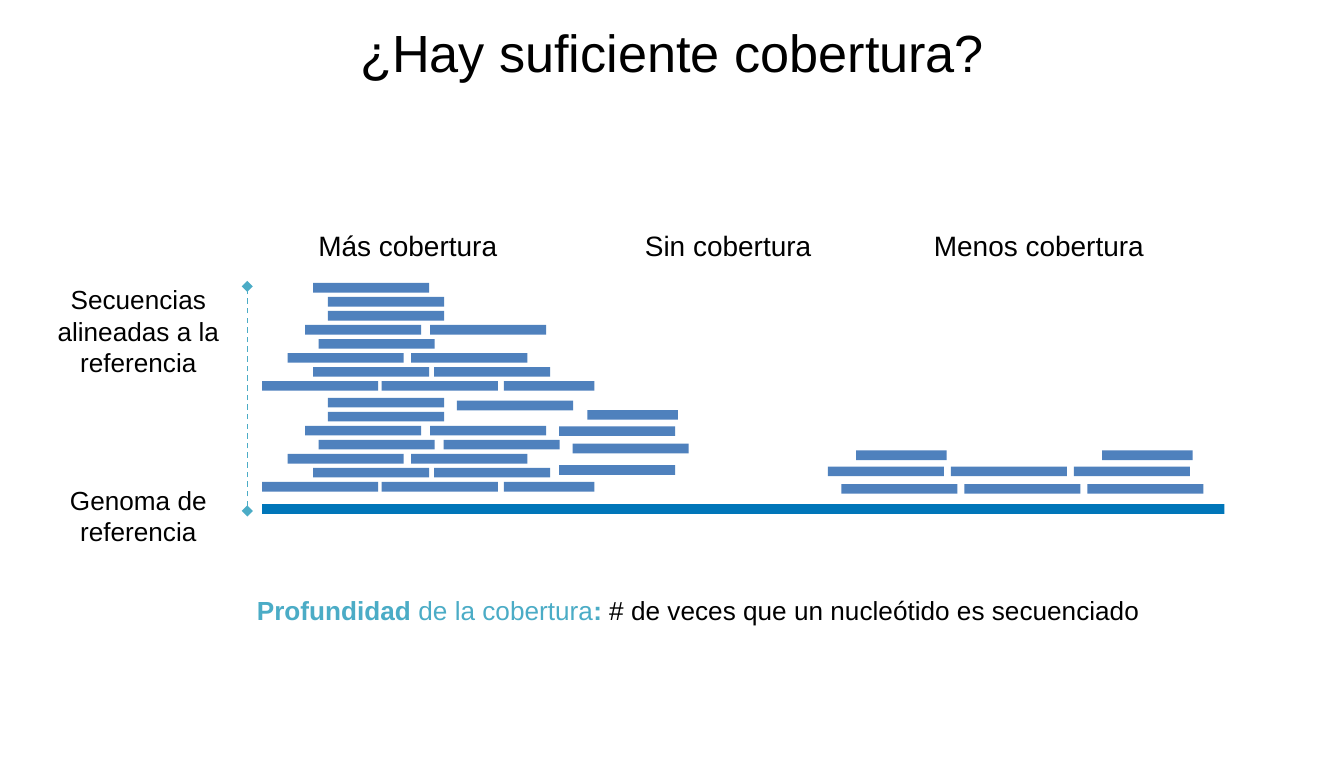
import pptx
import pptx.util
import pptx.dml.color
import pptx.enum.dml
import pptx.enum.shapes
import pptx.enum.text
import pptx.oxml
import pptx.oxml.ns

# Grid of square cells, 100 columns across the slide; all lengths are in cells.
CELL = pptx.util.Inches(0.1)
ALIGN = pptx.enum.text.PP_ALIGN
BLACK, TEAL, READ, GENOME = "000000", "4BACC6", "4F81BD", "0076B9"
THICK, LONG, SHORT = 0.72, 8.64, 6.74

# Left ends of the stacked reads, from the bottom row up.
LOW = [[19.5, 28.4], [23.3, 32.3], [21.4, 30.6]]
TOP = [[22.7, 32], [24.4], [24.4]]
STACKS = [
    (28.34, LOW + [[23.7]] + TOP + [[23.3]]),
    (35.84, LOW + [[23.7, 33]] + TOP),
]
STEP = 7.3 / 7
LOOSE = [(34, 29.8), (41.6, 31.7), (42.6, 33), (41.6, 34.6)]
SPARSE = 9.15

LABELS = [("Más cobertura", 22.7), ("Sin cobertura", 47), ("Menos cobertura", 68.5)]
SIDES = [("Secuencias alineadas a la referencia", 20.1), ("Genoma de referencia", 35)]


def cells(*vals):
    return [round(val * CELL) for val in vals]


def color(code):
    return pptx.dml.color.RGBColor.from_string(code)


def bar(slide, x, y, wide=LONG, fill=READ):
    box = slide.shapes.add_shape(
        pptx.enum.shapes.MSO_SHAPE.RECTANGLE, *cells(x, y, wide, THICK))
    box.shadow.inherit = False
    box.fill.solid()
    box.fill.fore_color.rgb = color(fill)
    box.line.fill.background()


def write(shape, runs, size, align):
    """Fill a shape with one paragraph of (text, colour, bold) runs."""
    frame = shape.text_frame
    frame.word_wrap = True
    frame.auto_size = pptx.enum.text.MSO_AUTO_SIZE.NONE
    frame.vertical_anchor = pptx.enum.text.MSO_ANCHOR.TOP
    for side in ("left", "top", "right", "bottom"):
        setattr(frame, "margin_" + side, CELL)
    para = frame.paragraphs[0]
    para.alignment = align
    para.font.size = pptx.util.Pt(size)
    para.font.name = "Arial"
    for text, code, bold in runs:
        run = para.add_run()
        run.text = text
        run.font.color.rgb = color(code)
        run.font.bold = bold


def label(slide, area, runs, size=14, align=ALIGN.CENTER):
    write(slide.shapes.add_textbox(*cells(*area)), runs, size, align)


def title(slide, text):
    shape = slide.shapes.title
    shape.left, shape.top, shape.width, shape.height = cells(9.9, 0.5, 80.2, 9.4)
    write(shape, [(text, BLACK, False)], 28, ALIGN.CENTER)


def span(slide, x, low, high):
    """Draw the dashed upright line with a diamond at each end."""
    link = slide.shapes.add_connector(
        pptx.enum.shapes.MSO_CONNECTOR.STRAIGHT, *cells(x, low, x, high))
    link.line.color.rgb = color(TEAL)
    link.line.width = pptx.util.Pt(0.75)
    link.line.dash_style = pptx.enum.dml.MSO_LINE.DASH
    line = link.line._get_or_add_ln()
    space = pptx.oxml.ns.nsdecls("a")
    for tag in ("a:headEnd", "a:tailEnd"):
        line.append(pptx.oxml.parse_xml(f"<{tag} {space} type='diamond'/>"))
    link._element.spPr.append(pptx.oxml.parse_xml(f"<a:effectLst {space}/>"))


def dense(slide):
    for base, rows in STACKS:
        for row, starts in enumerate(rows):
            for x in starts:
                bar(slide, x, base - row * STEP)
        bar(slide, 37.5, base, SHORT)
    for x, y in LOOSE:
        bar(slide, x, y)
    bar(slide, 43.7, 30.5, SHORT)


def sparse(slide):
    for col in range(3):
        bar(slide, 61.6 + col * SPARSE, 34.7)
        bar(slide, 62.6 + col * SPARSE, 36)
    for col in (0, 2):
        bar(slide, 63.7 + col * SPARSE, 33.5, SHORT)


def main():
    deck = pptx.Presentation()
    deck.slide_width, deck.slide_height = cells(100, 56.3)
    slide = deck.slides.add_slide(deck.slide_layouts[5])

    title(slide, "¿Hay suficiente cobertura?")
    span(slide, 18.4, 38, 21.3)
    dense(slide)
    sparse(slide)
    bar(slide, 19.5, 37.5, 71.6, GENOME)

    for text, x in LABELS:
        label(slide, (x, 16, 21.5, 9.4), [(text, BLACK, False)], 15, ALIGN.LEFT)
    for text, y in SIDES:
        label(slide, (3, y, 14.6, 8.9), [(text, BLACK, False)])
    label(slide, (15.2, 43.2, 73.5, 8.9), [
        ("Profundidad ", TEAL, True),
        ("de la cobertura", TEAL, False),
        (":", TEAL, True),
        (" # de veces que un nucleótido es secuenciado", BLACK, False),
    ])
    deck.save("out.pptx")


if __name__ == "__main__":
    main()
